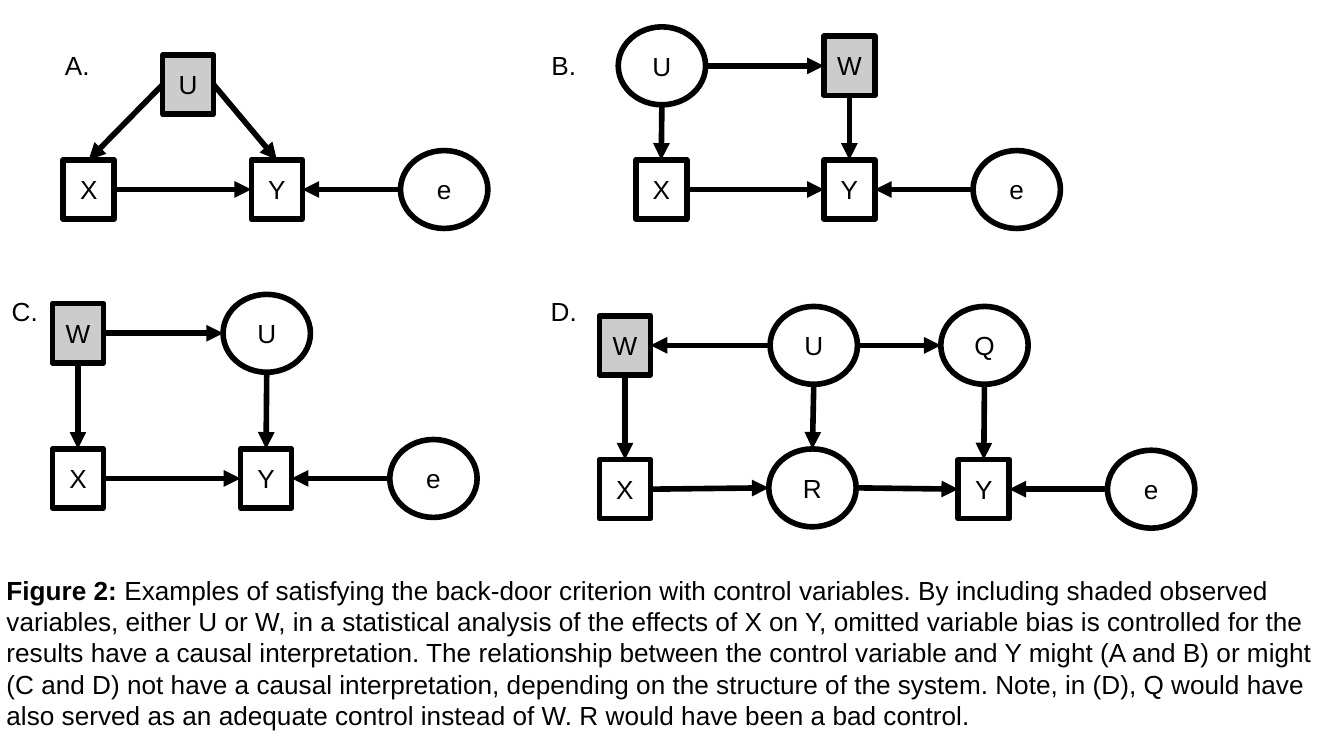
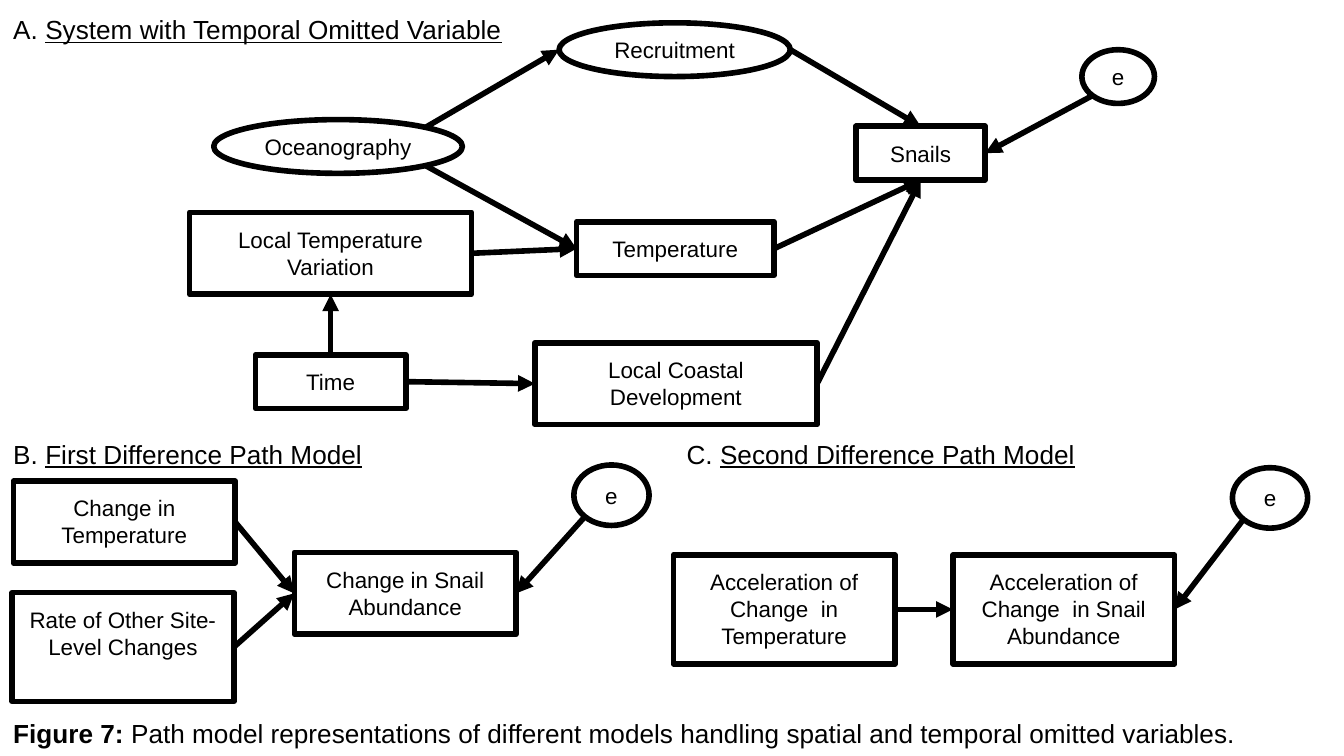
from lxml.etree import SubElement
from pptx import Presentation
from pptx.dml.color import RGBColor
from pptx.enum.shapes import MSO_CONNECTOR, MSO_SHAPE
from pptx.enum.text import MSO_ANCHOR, PP_ALIGN
from pptx.oxml.ns import qn
from pptx.util import Pt

PX = 9144  # EMU; 100 px to the inch
WIDE, HIGH = Pt(720), Pt(405)  # 16:9
BLACK = RGBColor(0x00, 0x00, 0x00)
WHITE = RGBColor(0xFF, 0xFF, 0xFF)
GREY = RGBColor(0xCC, 0xCC, 0xCC)
FONT = "Arial"
STROKE = Pt(3)
INSET = 10
BOX, OVAL = MSO_SHAPE.RECTANGLE, MSO_SHAPE.OVAL

# Share of width and height; the first four follow the rectangle's site order.
SPOTS = {
    "top": (0.5, 0), "left": (0, 0.5), "bottom": (0.5, 1), "right": (1, 0.5),
    "low left": (0.15, 0.85), "low right": (0.85, 0.85),
    "high right": (0.85, 0.15),
}
SITES = list(SPOTS)


def add_run(para, text, size, bold=False, under=False):
    run = para.add_run()
    run.text = text
    font = run.font
    font.name, font.size, font.bold = FONT, Pt(size), bold
    font.underline = under
    font.color.rgb = BLACK


def set_frame(frame, anchor):
    frame.word_wrap = True
    frame.vertical_anchor = anchor
    frame.margin_left = frame.margin_right = INSET * PX
    frame.margin_top = frame.margin_bottom = INSET * PX


def add_text(slide, left, top, width, height, align=PP_ALIGN.LEFT):
    """Add an empty text box and return its paragraph."""
    box = slide.shapes.add_textbox(left * PX, top * PX, width * PX, height * PX)
    set_frame(box.text_frame, MSO_ANCHOR.TOP)
    para = box.text_frame.paragraphs[0]
    para.alignment = align
    return para


def caption(slide, left, top, height, label, text):
    para = add_text(slide, left, top, 1000, height)
    add_run(para, label, 14, bold=True)
    add_run(para, text, 14)


def heading(slide, left, top, label, text):
    para = add_text(slide, left, top, 431, 44)
    add_run(para, label, 14)
    add_run(para, text, 14, under=True)


def node(slide, kind, text, left, top, width, height, size=12, fill=None):
    """Add an outlined variable; each line of text is a paragraph."""
    shape = slide.shapes.add_shape(
        kind, left * PX, top * PX, width * PX, height * PX)
    shape.shadow.inherit = False
    if kind == OVAL:
        fill = WHITE
    if fill is None:
        shape.fill.background()
    else:
        shape.fill.solid()
        shape.fill.fore_color.rgb = fill
    shape.line.color.rgb = BLACK
    shape.line.width = STROKE
    frame = shape.text_frame
    set_frame(frame, MSO_ANCHOR.MIDDLE if kind == OVAL else MSO_ANCHOR.TOP)
    for i, line in enumerate(text.split("\n")):
        para = frame.add_paragraph() if i else frame.paragraphs[0]
        para.alignment = PP_ALIGN.CENTER
        add_run(para, line, size)
    return shape


def spot_at(shape, spot):
    across, down = SPOTS[spot]
    return (round(shape.left + across * shape.width),
            round(shape.top + down * shape.height))


def link(slide, start, out, end, into):
    """Draw an arrow between two nodes, joined where it meets a rectangle."""
    line = slide.shapes.add_connector(
        MSO_CONNECTOR.STRAIGHT, *spot_at(start, out), *spot_at(end, into))
    line.line.color.rgb = BLACK
    line.line.width = STROKE
    props = line.element.spPr
    SubElement(props.find(qn("a:ln")), qn("a:tailEnd"), type="triangle")
    SubElement(props, qn("a:effectLst"))
    if start.auto_shape_type == BOX:
        line.begin_connect(start, SITES.index(out))
    if end.auto_shape_type == BOX:
        line.end_connect(end, SITES.index(into))


def seen(slide, text, x, y, fill=None):
    """Add an observed variable, centred on x, y."""
    return node(slide, BOX, text, x - 19, y - 22, 38, 44, 14, fill)


def latent(slide, text, x, y):
    """Add an unobserved variable, centred on x, y."""
    return node(slide, OVAL, text, x - 32, y - 29, 65, 58, 14)


def base(slide, x, y, span=140):
    """Add the row X, Y and error that each panel rests on."""
    cause = seen(slide, "X", x, y)
    effect = seen(slide, "Y", x + span, y)
    error = latent(slide, "e", x + span + 124, y)
    link(slide, error, "left", effect, "right")
    return cause, effect


def control_slide(slide):
    caption(
        slide, -5, 417, 138, "Figure 2: ",
        "Examples of satisfying the back-door criterion with control "
        "variables. By including shaded observed variables, either U or W, "
        "in a statistical analysis of the effects of X on Y, omitted variable "
        "bias is controlled for the results have a causal interpretation. The "
        "relationship between the control variable and Y might (A and B) or "
        "might (C and D) not have a causal interpretation, depending on the "
        "structure of the system. Note, in (D), Q would have also served as "
        "an adequate control instead of W. R would have been a bad control.")
    for label, left, top in (("A.", 34, 27), ("B.", 396, 27),
                             ("C.", -5, 210), ("D.", 396, 210)):
        add_run(add_text(slide, left, top, 47, 44, PP_ALIGN.CENTER), label, 14)

    # Panel A
    x, y = base(slide, 66, 141)
    u = seen(slide, "U", 140, 63, GREY)
    link(slide, x, "right", y, "left")
    link(slide, u, "left", x, "top")
    link(slide, u, "right", y, "top")

    # Panel B
    x, y = base(slide, 492, 141)
    u = latent(slide, "U", 492, 49)
    w = seen(slide, "W", 632, 49, GREY)
    link(slide, x, "right", y, "left")
    link(slide, u, "right", w, "left")
    link(slide, u, "bottom", x, "top")
    link(slide, w, "bottom", y, "top")

    # Panel C
    x, y = base(slide, 58, 356)
    w = seen(slide, "W", 58, 248, GREY)
    u = latent(slide, "U", 198, 248)
    link(slide, x, "right", y, "left")
    link(slide, w, "right", u, "left")
    link(slide, w, "bottom", x, "top")
    link(slide, u, "bottom", y, "top")

    # Panel D
    x, y = base(slide, 465, 364, 267)
    w = seen(slide, "W", 465, 257, GREY)
    u = latent(slide, "U", 605, 257)
    q = latent(slide, "Q", 732, 257)
    r = latent(slide, "R", 604, 363)
    link(slide, u, "left", w, "right")
    link(slide, u, "right", q, "left")
    link(slide, u, "bottom", r, "top")
    link(slide, w, "bottom", x, "top")
    link(slide, q, "bottom", y, "top")
    link(slide, x, "right", r, "left")
    link(slide, r, "right", y, "left")


def model_slide(slide):
    caption(slide, 0, 524, 44, "Figure 7: ",
            "Path model representations of different models handling spatial "
            "and temporal omitted variables.")

    heading(slide, 0, 0, "A. ", "System with Temporal Omitted Variable")
    ocean = node(slide, OVAL, "Oceanography", 159, 89, 185, 40)
    recruit = node(slide, OVAL, "Recruitment", 416, 17, 172, 40)
    error = node(slide, OVAL, "e", 805, 37, 54, 40)
    snails = node(slide, BOX, "Snails", 637, 94, 96, 40)
    temp = node(slide, BOX, "Temperature", 429, 165, 147, 40)
    local = node(slide, BOX, "Local Temperature\nVariation", 141, 158, 210, 61)
    time = node(slide, BOX, "Time", 190, 264, 112, 40)
    coast = node(slide, BOX, "Local Coastal Development", 398, 255, 210, 61)
    link(slide, ocean, "high right", recruit, "left")
    link(slide, ocean, "low right", temp, "left")
    link(slide, recruit, "right", snails, "top")
    link(slide, error, "low left", snails, "right")
    link(slide, local, "right", temp, "left")
    link(slide, temp, "right", snails, "bottom")
    link(slide, time, "top", local, "bottom")
    link(slide, time, "right", coast, "left")
    link(slide, coast, "right", snails, "bottom")

    heading(slide, 0, 316, "B. ", "First Difference Path Model")
    change = node(slide, BOX, "Change in Temperature", 10, 358, 165, 61)
    rate = node(slide, BOX, "Rate of Other Site-Level Changes",
                9, 441, 165, 81)
    count = node(slide, BOX, "Change in Snail Abundance", 219, 411, 165, 61)
    error = node(slide, OVAL, "e", 427, 346, 56, 45)
    link(slide, change, "right", count, "left")
    link(slide, rate, "right", count, "left")
    link(slide, error, "low left", count, "right")

    heading(slide, 501, 316, "C. ", "Second Difference Path Model")
    change = node(slide, BOX, "Acceleration of Change  in Temperature",
                  501, 413, 165, 81)
    count = node(slide, BOX, "Acceleration of Change  in Snail Abundance",
                 709, 413, 165, 81)
    error = node(slide, OVAL, "e", 917, 348, 56, 45)
    link(slide, change, "right", count, "left")
    link(slide, error, "low left", count, "right")


def main():
    deck = Presentation()
    deck.slide_width, deck.slide_height = WIDE, HIGH
    blank = deck.slide_layouts[6]
    for draw in (control_slide, model_slide):
        draw(deck.slides.add_slide(blank))
    deck.save("out.pptx")


if __name__ == "__main__":
    main()
